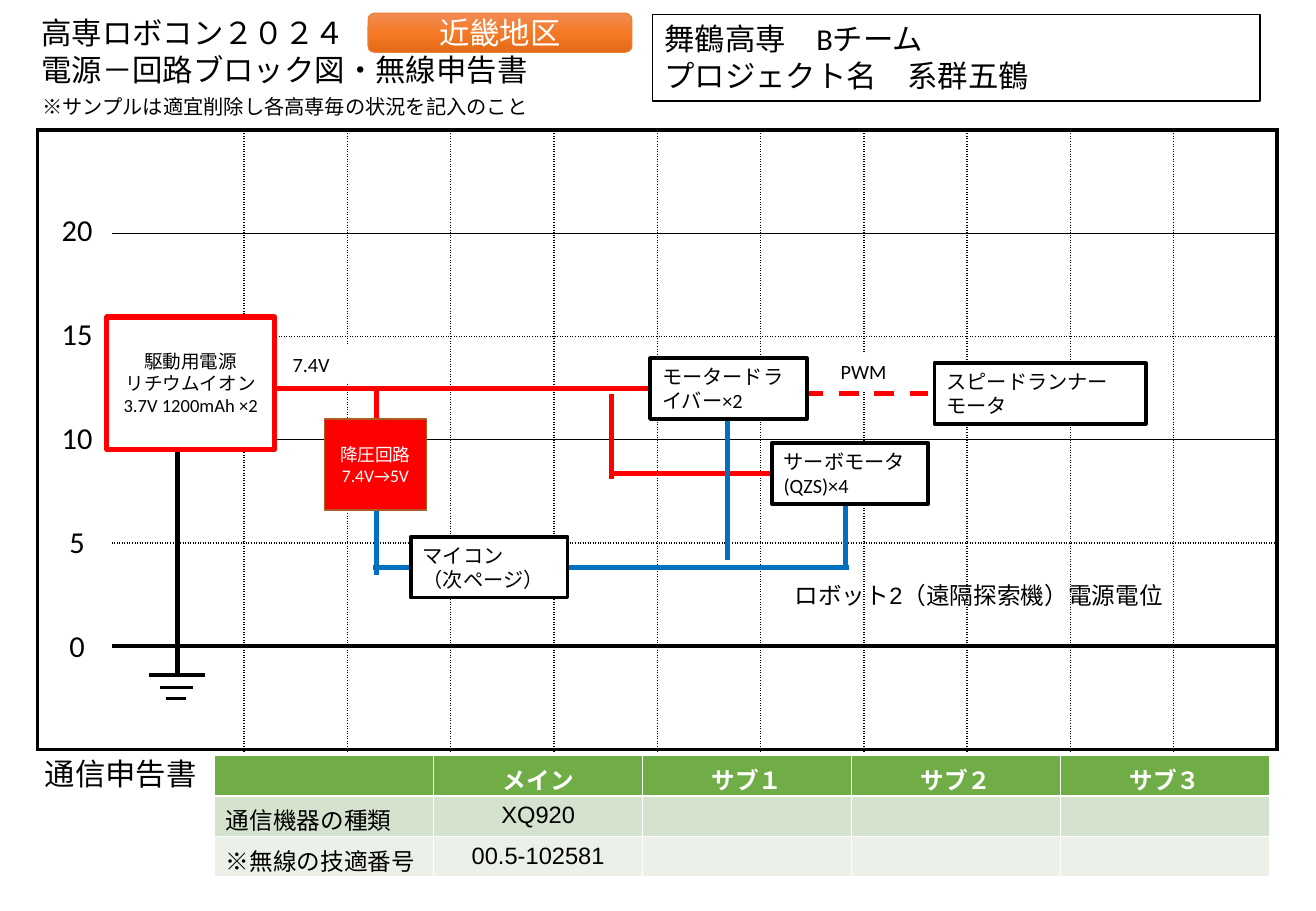
"""Build the power block diagram and radio declaration slide."""
from copy import deepcopy
from lxml import etree
from pptx import Presentation, util as u
from pptx.dml.color import RGBColor
from pptx.enum import dml, shapes, text
from pptx.oxml import parse_xml
from pptx.oxml.ns import nsdecls, qn

HUE = {"ink": "000000", "white": "FFFFFF", "red": "FF0000", "blue": "0070C0",
       "rust": "AC5B23", "edge": "ED7D31", "head": "70AD47", "row1": "D4E2CE",
       "row2": "EBF1E8", "top": "F08B54", "mid": "F67A26", "low": "E36A18"}
UNIT = u.Inches(0.1)
PLAIN = "{2D5ABB26-0587-4C30-8999-92F81FD0307C}"
RGB = {name: RGBColor.from_string(code) for name, code in HUE.items()}
LEFT, MID = text.PP_ALIGN.LEFT, text.PP_ALIGN.CENTER


def box(area, words, size, fill=None, edge=None, thick=1, hue="ink", align=LEFT,
        face="Calibri", kind=shapes.MSO_SHAPE.RECTANGLE, item=None):
    """Place a text block on the grid, or format the given one."""
    area = [int(n * UNIT) for n in area]
    if item is None:
        item = page.shapes.add_shape(kind, *area)
        item.shadow.inherit = False
    else:
        item.left, item.top, item.width, item.height = area
    if fill:
        item.fill.solid()
        item.fill.fore_color.rgb = RGB[fill]
    else:
        item.fill.background()
    if edge:
        item.line.color.rgb = RGB[edge]
        item.line.width = u.Pt(thick)
    else:
        item.line.fill.background()
    frame = item.text_frame
    frame.word_wrap = True
    frame.auto_size = text.MSO_AUTO_SIZE.NONE
    frame.vertical_anchor = (text.MSO_ANCHOR.MIDDLE if align == MID
                             else text.MSO_ANCHOR.TOP)
    frame.text = words
    for par in frame.paragraphs:
        style(par, size, hue, align, face)
    return item


def style(par, size, hue, align, face, bold=False):
    """Set the look of one paragraph."""
    par.alignment = align
    par.font.size, par.font.name, par.font.bold = u.Pt(size), face, bold
    par.font.color.rgb = RGB[hue]


deck = Presentation()
deck.slide_width, deck.slide_height = u.Inches(10.83), u.Inches(7.5)
page = deck.slides.add_slide(deck.slide_layouts[5])

box((2.4, 0.7, 49, 7.3), "高専ロボコン２０２４\n電源－回路ブロック図・無線申告書", 18,
    item=page.shapes.title)
box((2.5, 7.3, 42.9, 3), "※サンプルは適宜削除し各高専毎の状況を記入のこと", 12)
box((2.7, 61.7, 16, 4), "通信申告書", 18)
box((53.7, 1.2, 50, 7.1), "舞鶴高専\u3000Bチーム\nプロジェクト名\u3000系群五鶴", 18,
    "white", "ink")

zone = box((30.3, 1.1, 21.7, 3.2), "近畿地区", 18, "mid", "edge", 0.75, "white", MID,
           kind=shapes.MSO_SHAPE.ROUNDED_RECTANGLE)
zone.fill.gradient()
zone.fill.gradient_angle = 270
first = zone._element.spPr.find(".//" + qn("a:gs"))
first.addnext(deepcopy(first))
for stop, name, pos in zip(zone.fill.gradient_stops, ("top", "mid", "low"), (0, 0.5, 1)):
    stop.color.rgb, stop.position = RGB[name], pos

COLS = [6.1, 10.9] + [8.5] * 10
RULES = [(2.25, "solid"), (1, "solid"), (1, "sysDot"), (1, "solid"),
         (1, "sysDot"), (3, "solid"), (2.25, "solid")]
FRAME, DOTS = RULES[0], RULES[2]
grid = page.shapes.add_table(6, 12, *[int(n * UNIT) for n in (3.1, 10.7, 102, 51)]).table
grid.first_row = grid.horz_banding = False
grid._tbl.tblPr.find(qn("a:tableStyleId")).text = PLAIN
for col, wide in zip(grid.columns, COLS):
    col.width = int(wide * UNIT)
for r in range(6):
    for c in range(12):
        cell = grid.cell(r, c)
        sides = {"L": FRAME if c == 0 else DOTS if c > 1 else None,
                 "R": FRAME if c == 11 else DOTS if c else None,
                 "T": RULES[r] if c or r == 0 else None,
                 "B": RULES[r + 1] if c or r == 5 else None}
        props = cell._tc.get_or_add_tcPr()
        for side, rule in sides.items():
            if rule:
                props.append(parse_xml(
                    f'<a:ln{side} {nsdecls("a")} w="{u.Pt(rule[0])}"><a:solidFill>'
                    f'<a:srgbClr val="{HUE["ink"]}"/></a:solidFill>'
                    f'<a:prstDash val="{rule[1]}"/></a:ln{side}>'))
        cell.fill.solid()
        cell.fill.fore_color.rgb = RGB["white"]

for i, volt in enumerate((20, 15, 10, 5, 0)):
    box((3.5, 16.9 + 8.55 * i, 5.7, 4), str(volt), 18, "white", align=MID)

WIRES = [
    ("red", 3, 66.1, 32.4, 76.4, 32.4), ("red", 3, 22.7, 32, 53.5, 32),
    ("red", 3, 31, 40.3, 31, 32), ("red", 3, 50.3, 39, 63.5, 39),
    ("red", 3, 50.3, 39.4, 50.3, 32.4), ("blue", 3, 30.7, 46.7, 69.9, 46.7),
    ("blue", 3, 31, 47.3, 31, 39.4), ("blue", 3, 69.6, 46.9, 69.6, 39),
    ("blue", 3, 59.9, 46.1, 59.9, 34.6), ("ink", 3, 14.6, 35.6, 14.6, 55.6),
    ("ink", 2.25, 12.3, 55.6, 16.9, 55.6), ("ink", 2.25, 13.2, 56.6, 15.9, 56.6),
    ("ink", 2.25, 13.7, 57.5, 15.3, 57.5)]
for i, (hue, thick, *ends) in enumerate(WIRES):
    wire = page.shapes.add_connector(shapes.MSO_CONNECTOR.STRAIGHT,
                                     *[int(n * UNIT) for n in ends])
    wire.line.color.rgb, wire.line.width = RGB[hue], u.Pt(thick)
    if i == 0:
        wire.line.dash_style = dml.MSO_LINE.DASH
    etree.SubElement(wire._element.spPr, qn("a:effectLst"))

cells = box((8.8, 26.1, 13.8, 10.9), "駆動用電源\nリチウムイオン\n3.7V 1200mAh ×2", 11,
            "white", "red", 3, align=MID)
cells.text_frame.margin_left = cells.text_frame.margin_right = u.Inches(0.04)
box((26.7, 34.5, 8.4, 7.5), "降圧回路\n7.4V→5V", 10.5, "red", "rust", 1, "white", MID)
for x, y, wide, words in ((53.5, 29.5, 12.9, "モータードライバー×2"),
                          (76.9, 29.9, 17.4, "スピードランナーモータ"),
                          (63.5, 36.5, 12.9, "サーボモータ(QZS)×4"),
                          (33.8, 44.2, 12.9, "マイコン\n（次ページ）")):
    box((x, y, wide, 5), words, 12, "white", "ink", 2.25)
for x, y, words in ((23.1, 28.5, "7.4V"), (68.2, 29.1, "PWM")):
    box((x, y, 6.1, 3), words, 12, "white")
box((64.4, 47.3, 32.6, 3.4), "ロボット2（遠隔探索機）電源電位", 14, face="Arial")

DATA = [("", "メイン", "サブ１", "サブ２", "サブ３"),
        ("通信機器の種類", "XQ920", "", "", ""),
        ("※無線の技適番号", "00.5-102581", "", "", "")]
radio = page.shapes.add_table(3, 5, *[int(n * UNIT) for n in (17.6, 62.2, 87, 10)]).table
for c, col in enumerate(radio.columns):
    col.width = int((17.2 if c else 18.1) * UNIT)
for r, (line, fill) in enumerate(zip(DATA, ("head", "row1", "row2"))):
    for c, words in enumerate(line):
        cell = radio.cell(r, c)
        cell.fill.solid()
        cell.fill.fore_color.rgb = RGB[fill]
        cell.margin_bottom = 0
        if words:
            cell.text = words
            style(cell.text_frame.paragraphs[0], 14, "ink" if r else "white",
                  MID if c else LEFT, "Arial", r == 0)
        else:
            cell.margin_top = 0

deck.save("out.pptx")
